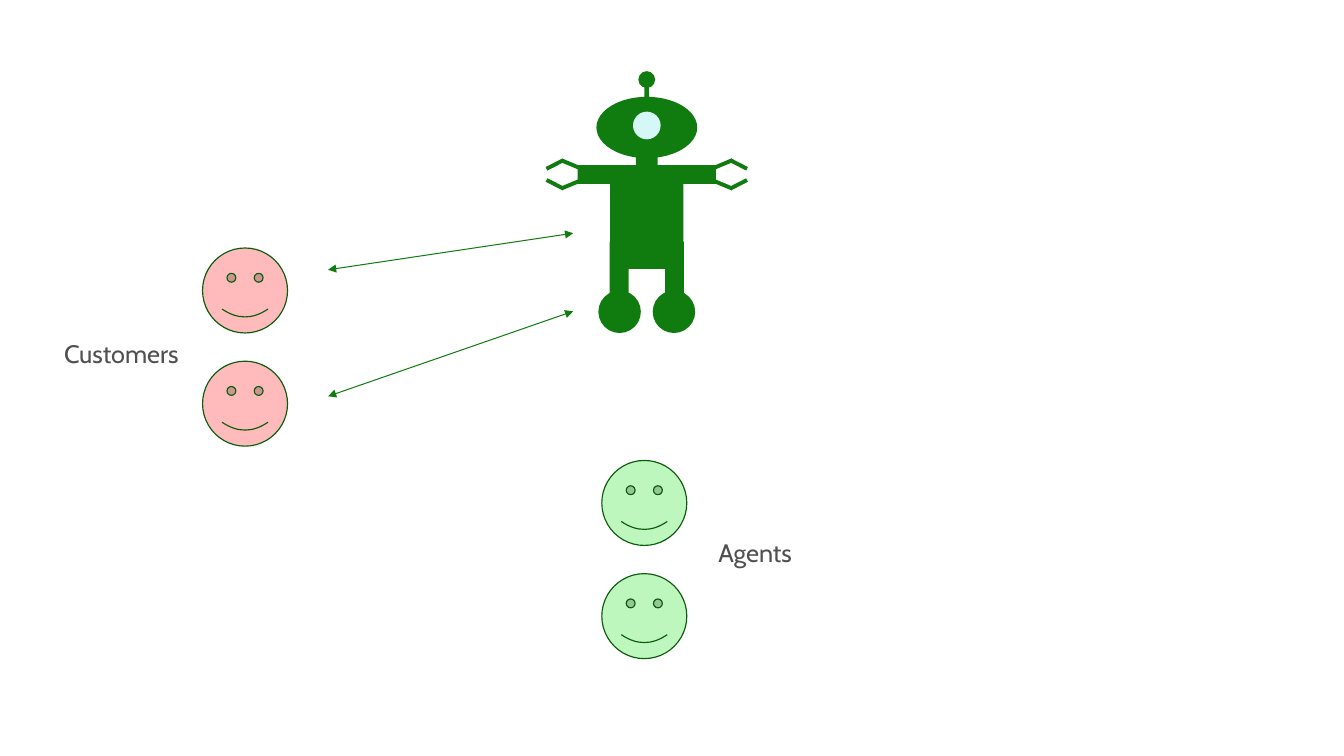
from itertools import product

from lxml import etree
from pptx import Presentation
from pptx.dml.color import RGBColor
from pptx.enum.shapes import MSO_CONNECTOR, MSO_SHAPE
from pptx.oxml.ns import qn
from pptx.util import Inches, Pt

WIDTH, HEIGHT = 13.6, 7.65
FONT = "Cabin"
COLORS = {
    "robot": "107C10",
    "eye": "D5F7F6",
    "customer": "FFBBBB",
    "agent": "BDF7BD",
    "outline": "0C5C0C",
    "text": "505050",
}

FACE_SIZE, FACE_STEP, FACES_PER_TEAM = 0.86, 1.145, 2
# label, label box, face colour, top left corner of the first face
TEAMS = [
    ("Customers", (0.55, 3.37, 1.48, 0.42), "customer", (2.05, 2.51)),
    ("Agents", (7.17, 5.39, 1.02, 0.42), "agent", (6.09, 4.66)),
]
ARROWS = [((3.32, 2.73), (5.8, 2.36)), ((3.32, 4.01), (5.8, 3.15))]

ROBOT_X, ARM_Y = 6.545, 1.765
RECT, OVAL = MSO_SHAPE.RECTANGLE, MSO_SHAPE.OVAL
# shape, centre y, width, height, colour
MIDDLE_PARTS = [
    (OVAL, 1.29, 1.02, 0.62, "robot"),
    (RECT, 2.195, 0.74, 1.05, "robot"),
    (RECT, 0.935, 0.05, 0.22, "robot"),
    (OVAL, 0.805, 0.17, 0.17, "robot"),
    (RECT, 1.68, 0.22, 0.56, "robot"),
    (OVAL, 1.27, 0.28, 0.28, "eye"),
]
# shape, distance from the middle, centre y, width, height
PAIRED_PARTS = [
    (RECT, 0.42, ARM_Y, 0.56, 0.19),
    (RECT, 0.28, 2.725, 0.19, 0.56),
    (OVAL, 0.275, 3.155, 0.43, 0.43),
]
# distance from the middle, distance from the arm's axis, length, angle
CLAW_PARTS = [(0.75, 0.095, 0.25, -22.7), (0.93, 0.1, 0.19, 27.2)]
CLAW_THICKNESS = 0.04


def rgb(name):
    return RGBColor.from_string(COLORS[name])


def add_filled(shapes, kind, box, color, line=None):
    shape = shapes.add_shape(kind, *map(Inches, box))
    shape.shadow.inherit = False
    shape.fill.solid()
    shape.fill.fore_color.rgb = rgb(color)
    if line:
        shape.line.color.rgb = rgb(line)
        shape.line.width = Pt(0.85)
    else:
        shape.line.fill.background()
    return shape


def add_part(robot, kind, x, y, width, height, color="robot", angle=0):
    """Add a robot part centred on x, y."""
    box = (x - width / 2, y - height / 2, width, height)
    add_filled(robot.shapes, kind, box, color).rotation = angle


def add_robot(slide):
    robot = slide.shapes.add_group_shape()
    for kind, y, width, height, color in MIDDLE_PARTS:
        add_part(robot, kind, ROBOT_X, y, width, height, color)
    for (kind, offset, y, width, height), side in product(PAIRED_PARTS, (1, -1)):
        add_part(robot, kind, ROBOT_X + side * offset, y, width, height)
    for (offset, rise, length, angle), side, up in product(CLAW_PARTS, (1, -1), (1, -1)):
        add_part(robot, RECT, ROBOT_X + side * offset, ARM_Y - up * rise,
                 length, CLAW_THICKNESS, angle=side * up * angle)


def add_team(slide, label, label_box, color, corner):
    left, top = corner
    for row in range(FACES_PER_TEAM):
        box = (left, top + row * FACE_STEP, FACE_SIZE, FACE_SIZE)
        add_filled(slide.shapes, MSO_SHAPE.SMILEY_FACE, box, color, "outline")
    frame = slide.shapes.add_textbox(*map(Inches, label_box)).text_frame
    frame.word_wrap = True
    run = frame.paragraphs[0].add_run()
    run.text = label
    run.font.name = FONT
    run.font.size = Pt(18.4)
    run.font.color.rgb = rgb("text")


def add_double_arrow(slide, start, end):
    arrow = slide.shapes.add_connector(MSO_CONNECTOR.STRAIGHT, *map(Inches, start + end))
    arrow.line.color.rgb = rgb("robot")
    arrow.line.width = Pt(0.75)
    line = arrow.line._get_or_add_ln()
    for tag in ("a:headEnd", "a:tailEnd"):
        etree.SubElement(line, qn(tag), type="triangle")
    etree.SubElement(arrow._element.spPr, qn("a:effectLst"))


def main():
    presentation = Presentation()
    presentation.slide_width = Inches(WIDTH)
    presentation.slide_height = Inches(HEIGHT)
    slide = presentation.slides.add_slide(presentation.slide_layouts[6])
    add_robot(slide)
    for team in TEAMS:
        add_team(slide, *team)
    for start, end in ARROWS:
        add_double_arrow(slide, start, end)
    presentation.save("out.pptx")


if __name__ == "__main__":
    main()
